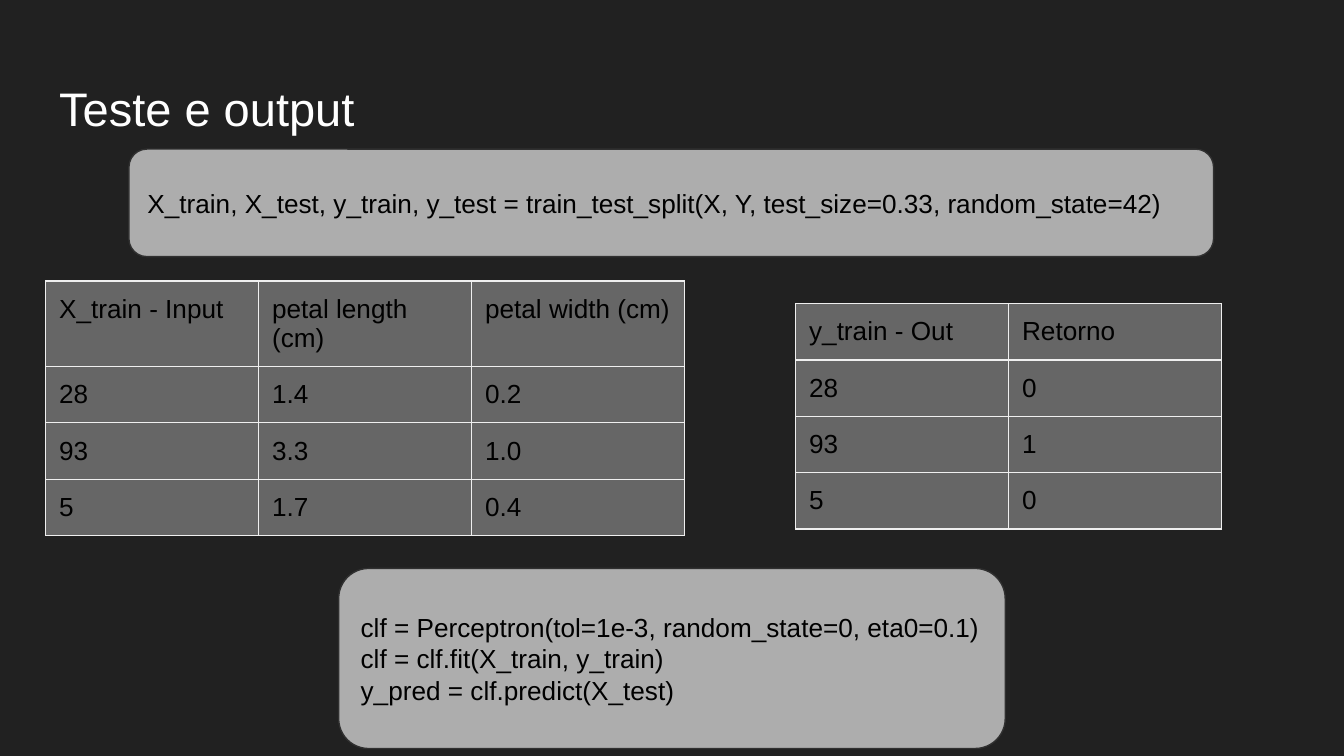
from pptx import Presentation
from pptx.dml.color import RGBColor
from pptx.enum.shapes import MSO_SHAPE
from pptx.enum.text import MSO_ANCHOR, PP_ALIGN
from pptx.oxml import parse_xml
from pptx.oxml.ns import nsdecls
from pptx.util import Inches, Pt

FONT = "Arial"
BACKGROUND, BOX, BOX_LINE = "212121", "ADADAD", "303030"
CELL, BORDER = "666666", "EFEFEF"
WHITE, BLACK = "FFFFFF", "000000"
COL_WIDTH, ROW_HEIGHT = 1.585, 0.416


def rgb(value):
    """Turn a hex string into a colour."""
    return RGBColor.from_string(value)


def fill_solid(fill, color):
    """Give a fill one plain colour."""
    fill.solid()
    fill.fore_color.rgb = rgb(color)


def write(tf, lines, size=14, color=BLACK):
    """Write one left-aligned paragraph per line."""
    for i, line in enumerate(lines):
        p = tf.paragraphs[0] if i == 0 else tf.add_paragraph()
        p.alignment = PP_ALIGN.LEFT
        r = p.add_run()
        r.text = line
        r.font.name = FONT
        r.font.size = Pt(size)
        r.font.color.rgb = rgb(color)


def set_margins(item):
    """Set equal inner margins on a text frame or a cell."""
    item.margin_left = item.margin_right = Inches(0.1)
    item.margin_top = item.margin_bottom = Inches(0.1)


def add_title(s, text):
    """Place and fill the title placeholder."""
    sp = s.shapes.title
    sp.left, sp.top = Inches(0.34), Inches(0.49)
    sp.width, sp.height = Inches(9.32), Inches(0.63)
    tf = sp.text_frame
    set_margins(tf)
    tf.word_wrap = True
    tf.vertical_anchor = MSO_ANCHOR.TOP
    write(tf, [text], 25.2, WHITE)


def add_code_box(s, left, top, width, height, lines):
    """Add a rounded box with lines of code."""
    sp = s.shapes.add_shape(MSO_SHAPE.ROUNDED_RECTANGLE, Inches(left),
                            Inches(top), Inches(width), Inches(height))
    sp.shadow.inherit = False
    fill_solid(sp.fill, BOX)
    sp.line.color.rgb = rgb(BOX_LINE)
    sp.line.width = Pt(0.75)
    tf = sp.text_frame
    set_margins(tf)
    tf.word_wrap = True
    tf.vertical_anchor = MSO_ANCHOR.MIDDLE
    write(tf, lines)


def set_borders(cell):
    """Draw a thin line on all four sides of a cell."""
    tcPr = cell._tc.get_or_add_tcPr()
    for i, side in enumerate(("lnL", "lnR", "lnT", "lnB")):
        tcPr.insert(i, parse_xml(
            f'<a:{side} {nsdecls("a")} w="{Pt(0.75)}"><a:solidFill>'
            f'<a:srgbClr val="{BORDER}"/></a:solidFill></a:{side}>'))


def add_data_table(s, left, top, rows):
    """Add a bordered table with equal columns and rows."""
    n_rows, n_cols = len(rows), len(rows[0])
    table = s.shapes.add_table(
        n_rows, n_cols, Inches(left), Inches(top),
        Inches(COL_WIDTH * n_cols), Inches(ROW_HEIGHT * n_rows)).table
    table.first_row = table.horz_banding = False
    for i, row in enumerate(rows):
        for j, text in enumerate(row):
            cell = table.cell(i, j)
            set_margins(cell)
            fill_solid(cell.fill, CELL)
            set_borders(cell)
            write(cell.text_frame, [text])


def main():
    """Build the slide and save it."""
    prs = Presentation()
    prs.slide_width = Inches(10)
    prs.slide_height = prs.slide_width * 9 // 16
    s = prs.slides.add_slide(prs.slide_layouts[5])
    fill_solid(s.background.fill, BACKGROUND)
    add_title(s, "Teste e output")
    add_code_box(s, 0.96, 1.11, 8.07, 0.8, [
        "X_train, X_test, y_train, y_test = "
        "train_test_split(X, Y, test_size=0.33, random_state=42)"])
    add_code_box(s, 2.52, 4.23, 4.96, 1.34, [
        "clf = Perceptron(tol=1e-3, random_state=0, eta0=0.1)",
        "clf = clf.fit(X_train, y_train)",
        "y_pred = clf.predict(X_test)"])
    add_data_table(s, 0.34, 2.09, [
        ("X_train - Input", "petal length (cm)", "petal width (cm)"),
        ("28", "1.4", "0.2"),
        ("93", "3.3", "1.0"),
        ("5", "1.7", "0.4")])
    add_data_table(s, 5.92, 2.26, [
        ("y_train - Out", "Retorno"),
        ("28", "0"),
        ("93", "1"),
        ("5", "0")])
    prs.save("out.pptx")


if __name__ == "__main__":
    main()
